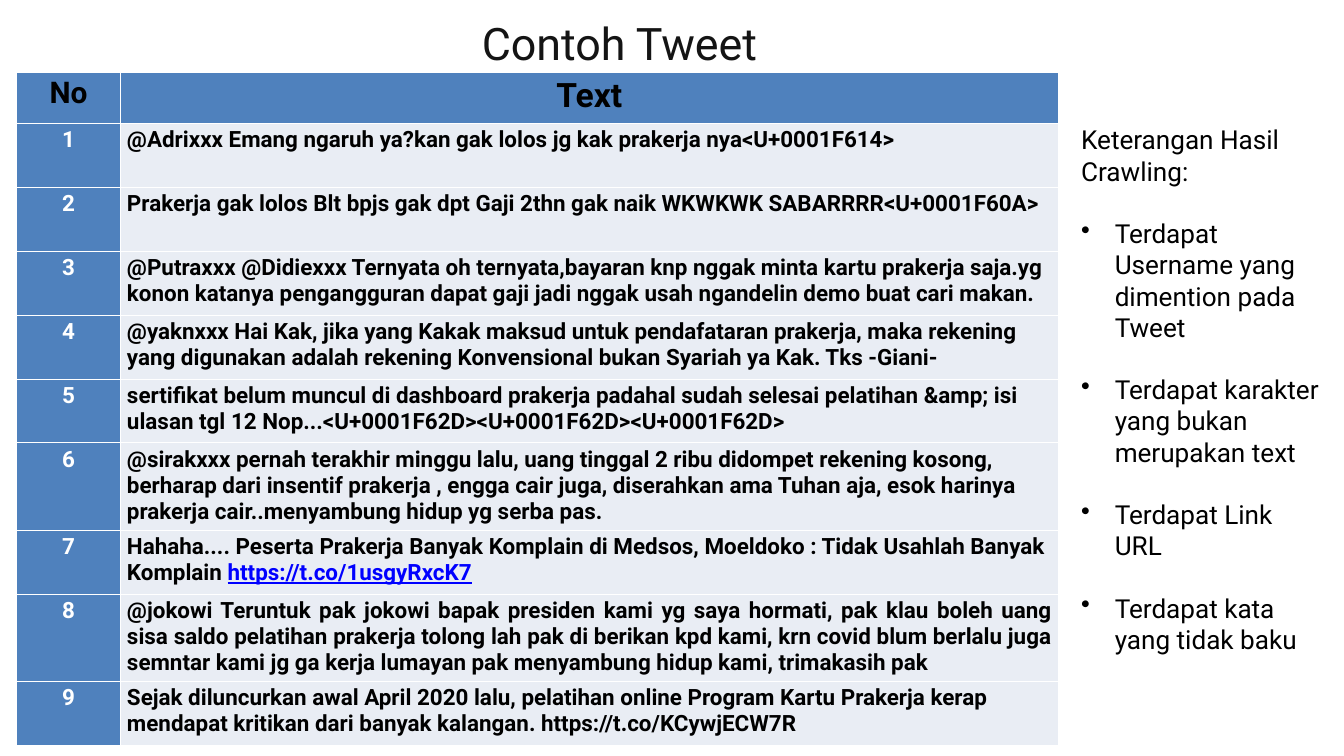
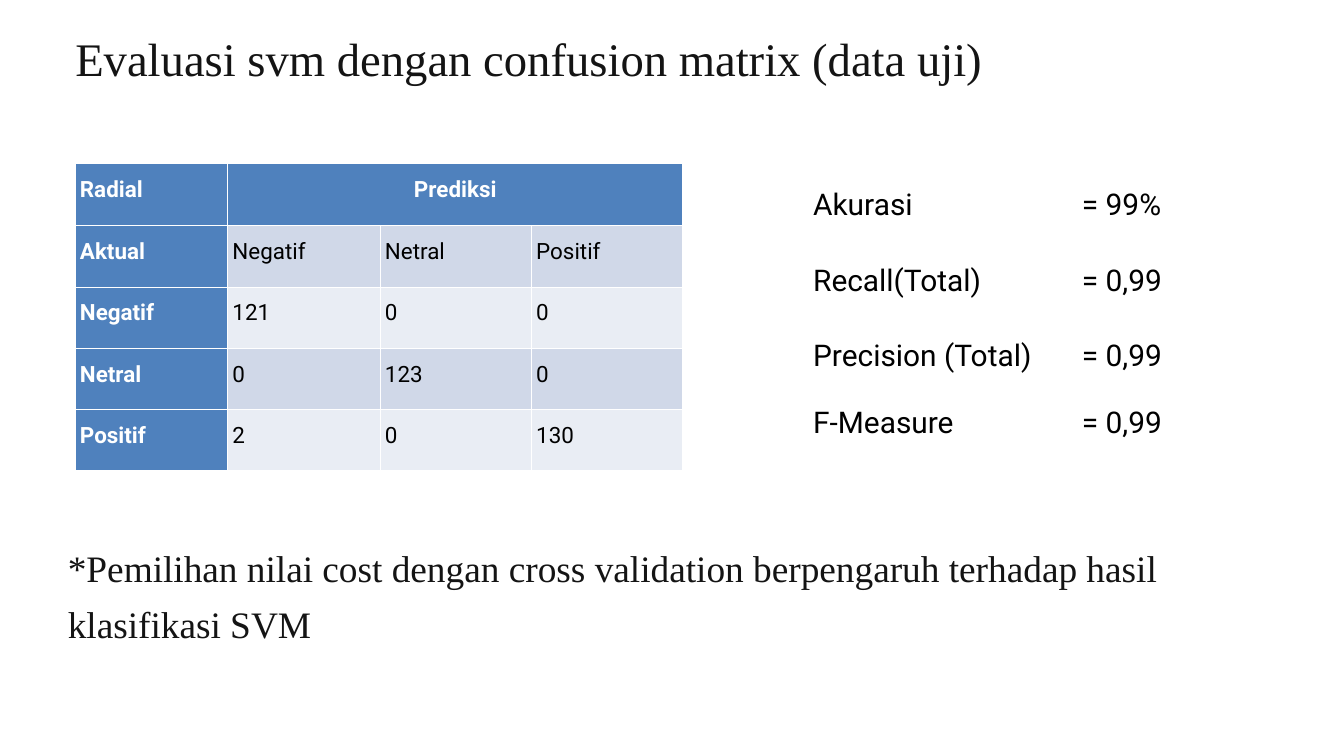
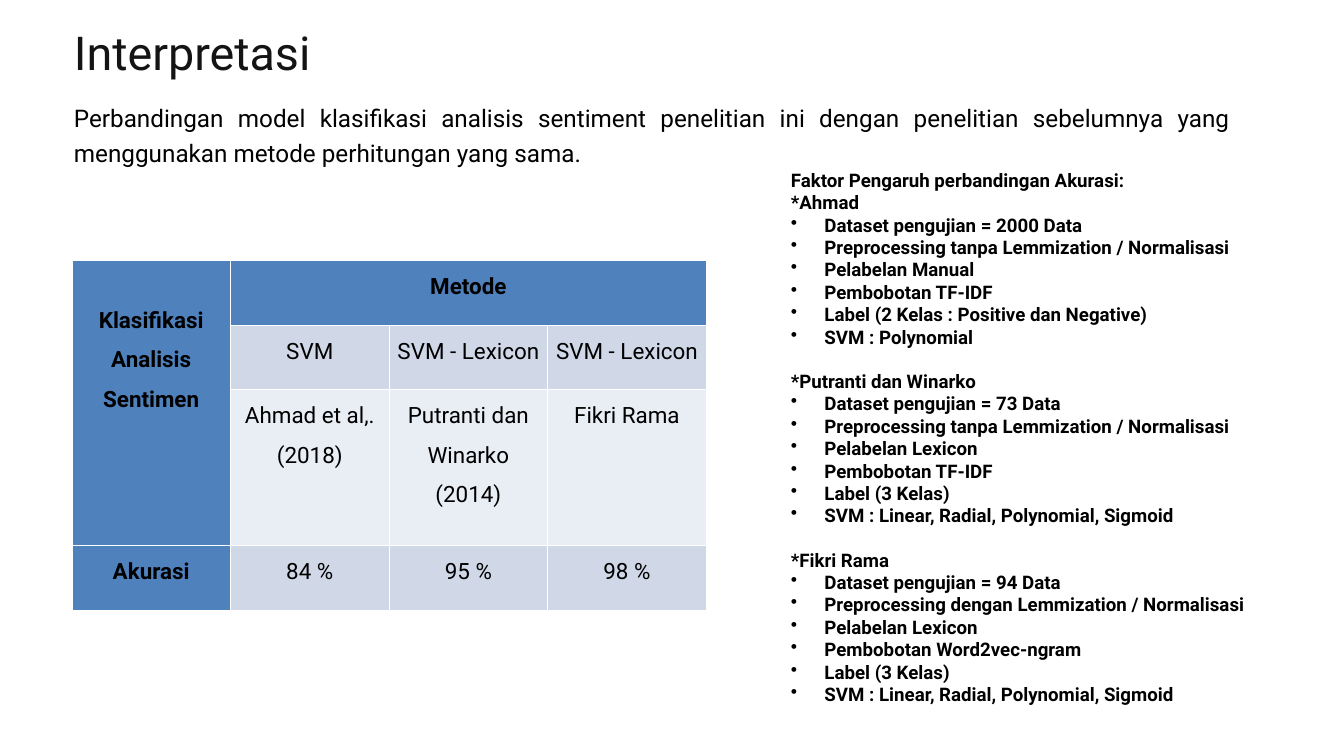
"""Build three slides on sentiment analysis: sample tweets, SVM evaluation and interpretation."""
from dataclasses import dataclass

from lxml import etree
from pptx import Presentation
from pptx import util as u
from pptx.dml.color import RGBColor
from pptx.enum import text
from pptx.oxml.ns import qn

AL = text.PP_ALIGN


@dataclass(frozen=True)
class Theme:
    """Colours, fonts and type sizes in points."""
    ink: str = "000000"
    dark: str = "141414"
    white: str = "FFFFFF"
    blue: str = "4F81BD"
    pale: str = "E9EDF4"
    band: str = "D0D8E8"
    link: str = "0000FF"
    sans: str = "Roboto"
    serif: str = "Times New Roman"
    title: int = 50
    cell: int = 24


T = Theme()
WIDE, HIGH, COLS = u.Inches(20), u.Inches(11.25), 20

TWEETS = [
    ["@Adrixxx Emang ngaruh ya?kan gak lolos jg kak prakerja nya<U+0001F614>"],
    ["Prakerja gak lolos Blt bpjs gak dpt Gaji 2thn gak naik WKWKWK SABARRRR<U+0001F60A>"],
    ["@Putraxxx @Didiexxx Ternyata oh ternyata,bayaran knp nggak minta kartu prakerja saja.yg "
     "konon katanya pengangguran dapat gaji jadi nggak usah ngandelin demo buat cari makan."],
    ["@yaknxxx Hai Kak, jika yang Kakak maksud untuk pendafataran prakerja, maka rekening "
     "yang digunakan adalah rekening Konvensional bukan Syariah ya Kak. Tks -Giani-"],
    ["sertifikat belum muncul di dashboard prakerja padahal sudah selesai pelatihan &amp; isi "
     "ulasan tgl 12 Nop...<U+0001F62D><U+0001F62D><U+0001F62D>"],
    ["@sirakxxx pernah terakhir minggu lalu, uang tinggal 2 ribu didompet rekening kosong, "
     "berharap dari insentif prakerja , engga cair juga, diserahkan ama Tuhan aja, esok harinya "
     "prakerja cair..menyambung hidup yg serba pas."],
    ["Hahaha.... Peserta Prakerja Banyak Komplain di Medsos, Moeldoko : Tidak Usahlah Banyak "
     "Komplain ", "https://t.co/1usgyRxcK7"],
    ["@jokowi Teruntuk pak jokowi bapak presiden kami yg saya hormati, pak klau boleh uang "
     "sisa saldo pelatihan prakerja tolong lah pak di berikan kpd kami, krn covid blum berlalu "
     "juga semntar kami jg ga kerja lumayan pak menyambung hidup kami, trimakasih pak"],
    ["Sejak diluncurkan awal April 2020 lalu, pelatihan online Program Kartu Prakerja kerap "
     "mendapat kritikan dari banyak kalangan. https://t.co/KCywjECW7R"],
]
LONG = (6, 8)
NOTES = ["Terdapat Username yang dimention pada Tweet",
         "Terdapat karakter yang bukan merupakan text",
         "Terdapat Link URL",
         "Terdapat kata yang tidak baku"]

MATRIX = [["Radial", "Prediksi", None, None],
          ["Aktual", "Negatif", "Netral", "Positif"],
          ["Negatif", "121", "0", "0"],
          ["Netral", "0", "123", "0"],
          ["Positif", "2", "0", "130"]]
SCORES = [("Akurasi", "99%", 2.71), ("Recall(Total)", "0,99", 3.84),
          ("Precision (Total)", "0,99", 4.96), ("F-Measure", "0,99", 5.96)]
REMARK = "*Pemilihan nilai cost dengan cross validation berpengaruh terhadap hasil klasifikasi SVM"

LEAD = ("Perbandingan model klasifikasi analisis sentiment penelitian ini dengan penelitian "
        "sebelumnya yang menggunakan metode perhitungan yang sama.")
METHODS = [["Klasifikasi Analisis Sentimen", "Metode", None, None],
           [None, "SVM", "SVM - Lexicon", "SVM - Lexicon"],
           [None, "Ahmad et al,. (2018)", "Putranti dan Winarko (2014)", "Fikri Rama"],
           ["Akurasi", "84 %", "95 %", "98 %"]]
FACTORS = {
    "*Ahmad": ["Dataset pengujian = 2000 Data", "Preprocessing tanpa Lemmization / Normalisasi",
               "Pelabelan Manual", "Pembobotan TF-IDF",
               "Label (2 Kelas : Positive dan Negative)", "SVM : Polynomial"],
    "*Putranti dan Winarko": [
        "Dataset pengujian = 73 Data", "Preprocessing tanpa Lemmization / Normalisasi",
        "Pelabelan Lexicon", "Pembobotan TF-IDF", "Label (3 Kelas)",
        "SVM : Linear, Radial, Polynomial, Sigmoid"],
    "*Fikri Rama": [
        "Dataset pengujian = 94 Data", "Preprocessing dengan Lemmization / Normalisasi",
        "Pelabelan Lexicon", "Pembobotan Word2vec-ngram", "Label (3 Kelas)",
        "SVM : Linear, Radial, Polynomial, Sigmoid"],
}


def unit(n):
    """Turn grid columns into a length."""
    return u.Emu(round(n * WIDE / COLS))


def put(obj, **vals):
    """Set several attributes on an object."""
    for key, val in vals.items():
        setattr(obj, key, val)


def ink(run, size, color, font=T.sans, bold=False, line=False):
    """Format one run."""
    put(run.font, size=u.Pt(size), name=font, bold=bold, underline=line)
    run.font.color.rgb = RGBColor.from_string(color)


def para(frame, words, size, color=T.ink, font=T.sans, bold=False, align=AL.LEFT,
         lead=None, gap=0, dot=False, tab=None):
    """Write a paragraph; a second part of words is shown as a link."""
    p = frame.paragraphs[0]
    if p.runs:
        p = frame.add_paragraph()
    put(p, alignment=align, line_spacing=lead, space_before=u.Pt(gap))
    props = p._p.get_or_add_pPr()
    if dot:
        props.set("marL", str(unit(0.5)))
        props.set("indent", str(-unit(0.5)))
        etree.SubElement(props, qn("a:buChar")).set("char", "•")
    if tab:
        stops = etree.SubElement(props, qn("a:tabLst"))
        put_at = etree.SubElement(stops, qn("a:tab"))
        put_at.set("pos", str(unit(tab)))
        put_at.set("algn", "l")
    parts = [words] if isinstance(words, str) else words
    for i, part in enumerate(parts):
        run = p.add_run()
        run.text = part
        ink(run, size, T.link if i else color, font, bold, bool(i))


def place(shape, spot, inset=True):
    """Move a text shape and set up its frame."""
    put(shape, **dict(zip(("left", "top", "width", "height"), map(unit, spot))))
    frame = shape.text_frame
    put(frame, word_wrap=True, vertical_anchor=text.MSO_ANCHOR.TOP,
        auto_size=text.MSO_AUTO_SIZE.SHAPE_TO_FIT_TEXT)
    if not inset:
        put(frame, margin_left=0, margin_top=0, margin_right=0, margin_bottom=0)
    return frame


def box(slide, spot, inset=False):
    """Add a text box and give back its frame."""
    return place(slide.shapes.add_textbox(0, 0, 0, 0), spot, inset)


def page(deck, name, spot, size=T.title, font=T.sans, lead=60):
    """Add a titled slide."""
    slide = deck.slides.add_slide(deck.slide_layouts[5])
    frame = place(slide.shapes.title, spot, False)
    para(frame, name, size, T.dark, font, lead=u.Pt(lead))
    return slide


def grid(slide, spot, cols, rows, cells, base, own=None, spans=(), fills=(T.pale, T.band),
         head=T.ink, side=T.ink, bold=False, tight=True):
    """Add a table with blue first row and column; own holds formats of single cells."""
    size = (*spot, sum(cols), sum(rows))
    table = slide.shapes.add_table(len(rows), len(cols), *map(unit, size)).table
    for col, wide in zip(table.columns, cols):
        col.width = unit(wide)
    for row, high in zip(table.rows, rows):
        row.height = unit(high)
    for (r, c), (r2, c2) in spans:
        table.cell(r, c).merge(table.cell(r2, c2))
    for r, line in enumerate(cells):
        for c, words in enumerate(line):
            cell = table.cell(r, c)
            edge = r == 0 or c == 0
            cell.fill.solid()
            cell.fill.fore_color.rgb = RGBColor.from_string(T.blue if edge else fills[r % 2])
            if words is None:
                continue
            if tight:
                put(cell, margin_left=unit(0.07), margin_right=unit(0.07),
                    margin_top=0, margin_bottom=0)
            look = dict(size=T.cell, bold=bold or edge,
                        color=head if r == 0 else side if c == 0 else T.ink)
            para(cell.text_frame, words, **{**look, **base, **(own or {}).get((r, c), {})})
    return table


def tweets(deck):
    """Sample tweets with notes on the crawl."""
    slide = page(deck, "Contoh Tweet", (7.17, -0.46, 8, 1.3), 48, lead=108)
    cells = [["No", "Text"]] + [[str(n), words] for n, words in enumerate(TWEETS, 1)]
    mid = dict(align=AL.CENTER)
    own = {(r, 0): mid for r in range(1, len(cells))}
    own.update({(0, 0): dict(size=32, **mid), (0, 1): dict(size=36, **mid),
                (8, 1): dict(align=AL.JUSTIFY)})
    rows = [0.76] + [1.25 if n in LONG else 0.95 for n in range(1, len(cells))]
    grid(slide, (0.25, 1.08), (1.54, 13.96), rows, cells, {}, own,
         fills=(T.pale, T.pale), side=T.white, bold=True, tight=False)
    frame = box(slide, (15.99, 1.79, 3.75, 8.58), True)
    para(frame, "Keterangan Hasil Crawling:", 28)
    for note in NOTES:
        para(frame, note, 28, gap=33, dot=True)


def matrix(deck):
    """Confusion matrix and scores."""
    slide = page(deck, "Evaluasi svm dengan confusion matrix (data uji)",
                 (1.12, 0.44, 14.71, 0.84), font=T.serif)
    grid(slide, (1.12, 2.43), (2.27, 2.27, 2.25, 2.25), [0.93] + [0.91] * 4, MATRIX,
         dict(align=AL.JUSTIFY, lead=1.5), {(0, 1): dict(align=AL.CENTER)},
         [((0, 1), (0, 3))], head=T.white, side=T.white)
    for name, score, top in SCORES:
        frame = box(slide, (12.1, top, 5.72, 0.55))
        para(frame, f"{name}\t= {score}", 32, lead=u.Pt(42), tab=4)
    frame = box(slide, (1.01, 7.95, 17.99, 1.62))
    para(frame, REMARK, 40, T.dark, T.serif, lead=u.Pt(60))


def compare(deck):
    """Accuracy against earlier studies."""
    slide = page(deck, "Interpretasi", (1.1, 0.35, 12.03, 0.85))
    frame = box(slide, (1.1, 1.46, 17.22, 1))
    para(frame, LEAD, 26, align=AL.JUSTIFY, lead=u.Pt(37.2))
    table = grid(slide, (1.07, 3.88), [2.36] * 4, (0.96, 0.96, 2.32, 0.96), METHODS,
                 dict(align=AL.CENTER, lead=1.5),
                 spans=[((0, 0), (2, 0)), ((0, 1), (0, 3))])
    table.cell(0, 0).margin_top = unit(0.5)
    frame = box(slide, (11.67, 2.46, 7.82, 8.65), True)
    look = dict(size=20, bold=True, align=AL.JUSTIFY)
    para(frame, "Faktor Pengaruh perbandingan Akurasi:", **look)
    for i, (name, facts) in enumerate(FACTORS.items()):
        para(frame, name, gap=23.4 if i else 0, **look)
        for fact in facts:
            para(frame, fact, dot=True, **look)


def main():
    """Build and save the deck."""
    deck = Presentation()
    put(deck, slide_width=WIDE, slide_height=HIGH)
    for make in (tweets, matrix, compare):
        make(deck)
    deck.save("out.pptx")


if __name__ == "__main__":
    main()
